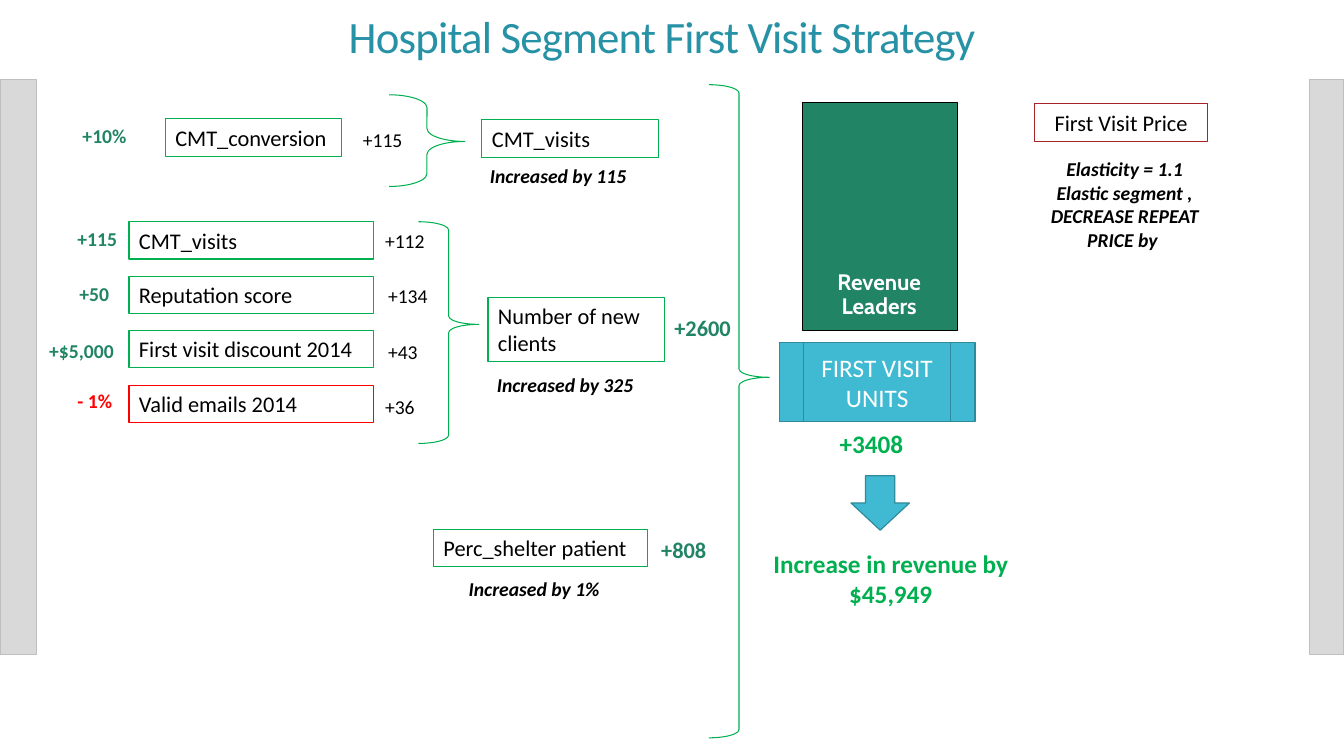
import pptx
import pptx.util
import pptx.dml.color
import pptx.enum.shapes
import pptx.enum.text

PX = 9144  # EMU in one px, 100 px to the inch
Kind = pptx.enum.shapes.MSO_SHAPE
Align = pptx.enum.text.PP_ALIGN
Anchor = pptx.enum.text.MSO_ANCHOR
COLORS = {
    "bar": "D9D9D9", "edge": "BFBFBF", "lime": "00B050", "green": "218464",
    "sky": "40BAD2", "teal": "2F8A9B", "title": "2791A6", "wine": "A72327",
    "red": "FF0000", "black": "000000", "white": "FFFFFF",
}

deck = pptx.Presentation()
deck.slide_width, deck.slide_height = 1333 * PX, 750 * PX
slide = deck.slides.add_slide(deck.slide_layouts[6])


def draw(kind, box, fill=None, line=None, width=0.75):
    """Add a preset shape, or a text box when kind is None."""
    place = [n * PX for n in box]
    if kind is None:
        return slide.shapes.add_textbox(*place)
    shape = slide.shapes.add_shape(kind, *place)
    shape.shadow.inherit = False
    if fill:
        shape.fill.solid()
        shape.fill.fore_color.rgb = pptx.dml.color.RGBColor.from_string(COLORS[fill])
    else:
        shape.fill.background()
    shape.line.color.rgb = pptx.dml.color.RGBColor.from_string(COLORS[line])
    shape.line.width = pptx.util.Pt(width)
    return shape


def write(shape, text, size, color="black", bold=False, italic=False,
          align=Align.LEFT, anchor=Anchor.TOP, font="Calibri"):
    """Fill a shape with one paragraph per line and return the last one."""
    frame = shape.text_frame
    frame.word_wrap = True
    frame.vertical_anchor = anchor
    for i, line in enumerate(text.split("\n")):
        para = frame.add_paragraph() if i else frame.paragraphs[0]
        para.alignment = align
        run = para.add_run()
        run.text = line
        run.font.name = font
        run.font.size = pptx.util.Pt(size)
        run.font.bold, run.font.italic = bold, italic
        run.font.color.rgb = pptx.dml.color.RGBColor.from_string(COLORS[color])
    return para


# Side bars and title
for left, width in ((0, 36), (1299, 34)):
    draw(Kind.RECTANGLE, (left, 79, width, 570), "bar", "edge", 0.85)
title = write(draw(None, (108, 7, 1097, 64)), "Hospital Segment First Visit Strategy",
              32, "title", align=Align.CENTER, anchor=Anchor.MIDDLE)
title.line_spacing = 0.9
title.runs[0]._r.get_or_add_rPr().set("spc", "-60")

# Braces: box, curl, tip
for box, curl, tip in (
    ((703, 84, 60, 648), 0.138, 0.448),
    ((415, 220, 60, 220), 0.138, 0.463),
    ((386, 94, 75, 91), 0.171, 0.509),
):
    brace = draw(Kind.RIGHT_BRACE, box, line="lime")
    brace.adjustments[0], brace.adjustments[1] = curl, tip

# Drivers of new clients: gain, its place, colours, name, effect, its left
drivers = (
    ("+115", 67, 220, "green", "lime", "CMT_visits", "+112", 372),
    ("+50", 69, 275, "green", "lime", "Reputation score", "+134", 375),
    ("+$5,000", 39, 331, "green", "lime", "First visit discount 2014", "+43", 375),
    ("- 1%", 67, 381, "red", "red", "Valid emails 2014", "+36", 372),
)
for i, (gain, left, top, color, edge, name, effect, right) in enumerate(drivers):
    write(draw(None, (left, top, 116, 34)), gain, 14, color, bold=True)
    write(draw(Kind.RECTANGLE, (128, 220 + 54 * i, 243, 37), line=edge), name, 16)
    write(draw(None, (right, 222 + 55 * i, 92, 34)), effect, 14)
write(draw(None, (72, 118, 116, 34)), "+10%", 14, "green", bold=True)
write(draw(None, (350, 122, 81, 34)), "+115", 14)

# Other measures
for box, name in (
    ((164, 118, 175, 37), "CMT_conversion"),
    ((478, 119, 175, 37), "CMT_visits"),
    ((484, 295, 175, 64), "Number of new clients"),
    ((430, 525, 212, 37), "Perc_shelter patient"),
):
    write(draw(Kind.RECTANGLE, box, line="lime"), name, 16)
for left, top, note in (
    (476, 158, "Increased by 115"),
    (483, 365, "Increased by 325"),
    (455, 567, "Increased by 1%"),
):
    write(draw(None, (left, top, 190, 34)), note, 14, bold=True, italic=True)
for left, top, total in ((659, 307, "+2600"), (646, 527, "+808")):
    write(draw(None, (left, top, 85, 37)), total, 16, "green", bold=True)

# Revenue column
draw(Kind.RECTANGLE, (796, 102, 154, 226), "green", "black")
leaders = draw(None, (803, 262, 138, 61))
frame = leaders.text_frame
frame.margin_left = frame.margin_right = frame.margin_top = frame.margin_bottom = 7 * PX
write(leaders, "Revenue Leaders", 16, "white", bold=True, align=Align.CENTER,
      anchor=Anchor.MIDDLE, font="Cabin").line_spacing = 0.9
units = draw(Kind.FLOWCHART_PREDEFINED_PROCESS, (773, 340, 194, 78), "sky", "teal", 0.85)
write(units, "FIRST VISIT UNITS", 18, "white", align=Align.CENTER, anchor=Anchor.MIDDLE)
write(draw(None, (823, 420, 116, 40)), "+3408", 18, "lime", bold=True)
draw(Kind.DOWN_ARROW, (844, 472, 58, 54), "sky", "teal", 0.85)
write(draw(None, (754, 539, 259, 71)), "Increase in revenue by $45,949", 18, "lime",
      bold=True, align=Align.CENTER)

# Price
write(draw(Kind.RECTANGLE, (1026, 103, 172, 37), line="wine"), "First Visit Price", 16,
      align=Align.CENTER)
write(draw(None, (1016, 151, 199, 104)),
      "Elasticity = 1.1\nElastic segment , DECREASE REPEAT PRICE by ", 14,
      bold=True, italic=True, align=Align.CENTER)

deck.save("out.pptx")
